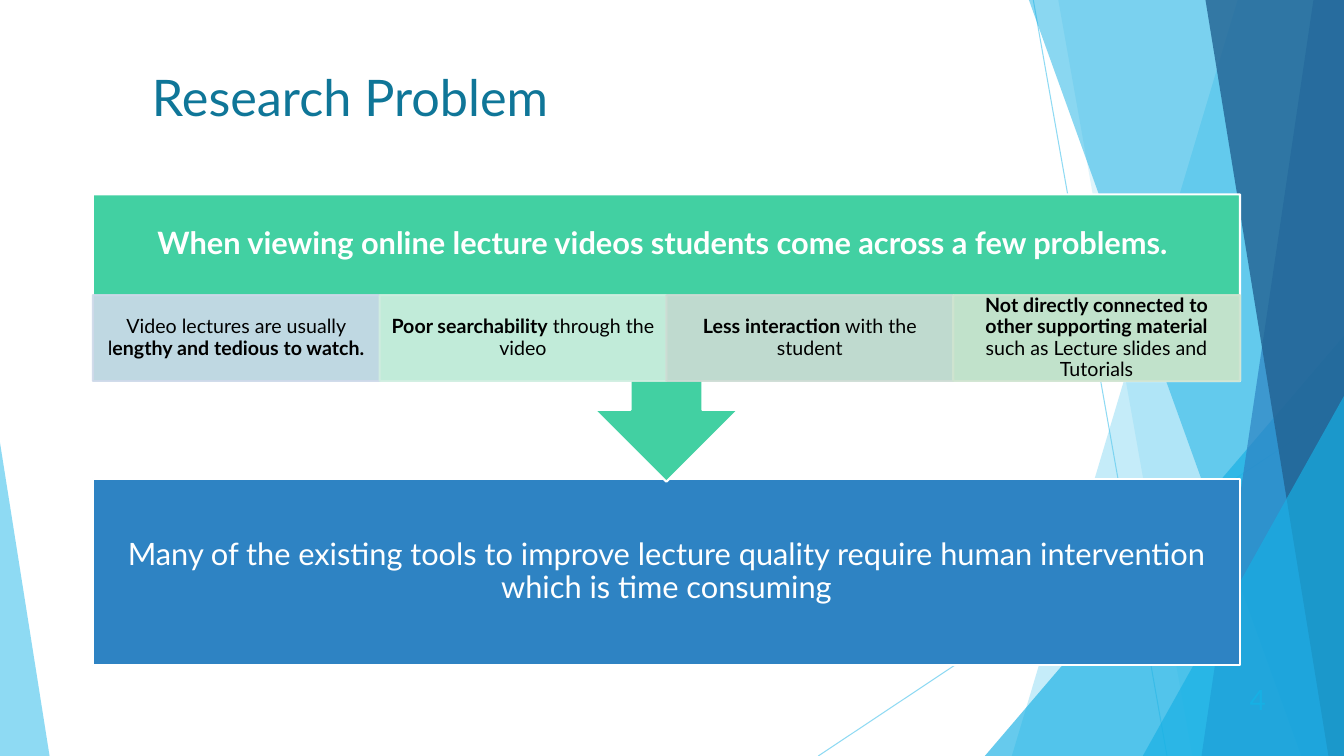
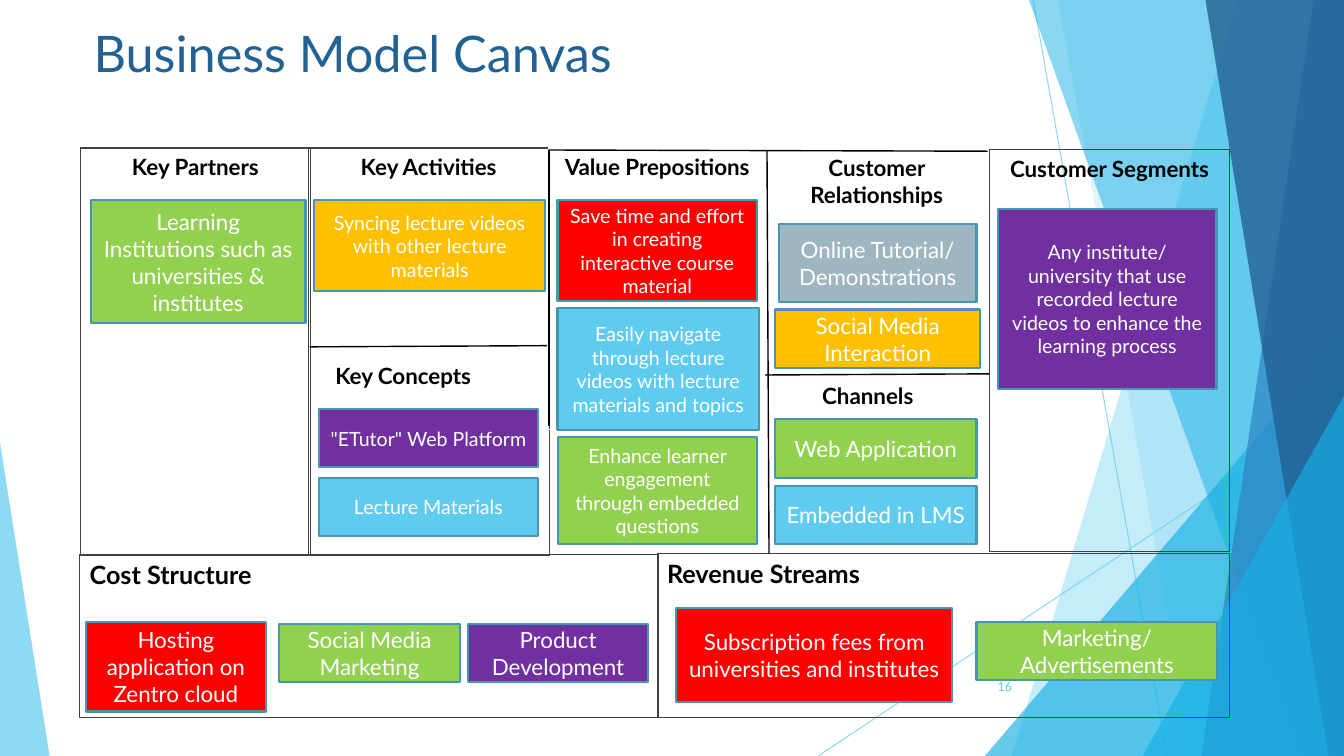
"""Build a research problem slide and a business model canvas slide."""
import dataclasses

import pptx
import pptx.dml.color
import pptx.enum.shapes
import pptx.enum.text
import pptx.oxml.ns
import pptx.util
from lxml import etree

Cm = pptx.util.Cm
Pt = pptx.util.Pt
SHAPE = pptx.enum.shapes.MSO_SHAPE
ALIGN = pptx.enum.text.PP_ALIGN
ANCHOR = pptx.enum.text.MSO_ANCHOR


@dataclasses.dataclass(frozen=True)
class Theme:
    """Colours, font, type sizes and line widths shared by the slides."""
    font: str = "Lato"
    black: str = "000000"
    white: str = "FFFFFF"
    frame: str = "404040"
    sky: str = "5FCBEF"
    cyan: str = "17B0E4"
    blue: str = "2E83C3"
    navy: str = "226292"
    teal: str = "0F7698"
    mint: str = "42D0A2"
    edge: str = "4696B1"
    green: str = "92D050"
    amber: str = "FFC000"
    purple: str = "7030A0"
    red: str = "FF0000"
    slate: str = "9FB6C0"
    title: int = 36
    statement: int = 22
    large: int = 18
    normal: int = 16
    small: int = 14
    page_number: int = 20
    footer: int = 9
    thin: float = 0.75
    rule: float = 1
    thick: float = 1.5


THEME = Theme()
WIDTH, HEIGHT = 33.87, 19.05

BACKDROP = [
    ("line", (26.04, 0, 29.41, HEIGHT), THEME.sky, 70),
    ("line", (WIDTH, 10.24, 20.62, HEIGHT), THEME.sky, 70),
    ("wedge", (31.19, 25.5), THEME.sky, 36),
    ("wedge", (26.67, 30.05), THEME.sky, 20),
    ("triangle", (24.82, 8.46, 9.05, 10.59, 1), THEME.cyan, 66),
    ("wedge", (25.93, 32.79), THEME.cyan, 50),
    ("wedge", (33.1, 30.28), THEME.blue, 70),
    ("wedge", (30.38, 33.48), THEME.navy, 80),
    ("triangle", (28.8, 9.98, 5.07, 9.07, 1), THEME.cyan, 66),
    ("triangle", (0, 11.15, 1.25, 7.9, 0), THEME.sky, 70),
]

PROBLEM = {
    "title": "Research Problem",
    "heading": "When viewing online lecture videos students come across a few problems. ",
    "conclusion": "Many of the existing tools to improve lecture quality require human "
                  "intervention which is time consuming",
    "issues": [
        ("CDD9E9", [("Video lectures are usually l", False),
                    ("engthy and tedious to watch.", True)]),
        ("CFEEE0", [("Poor searchability", True), (" through the video", False)]),
        ("CDDCD4", [("Less interaction", True), (" with the student", False)]),
        ("CFE4D0", [("Not directly connected to other supporting material ", True),
                    ("such as Lecture slides and Tutorials", False)]),
    ],
}

CANVAS_TITLE = "Business Model Canvas"
PANELS = [
    ("Key Partners", (2.03, 3.73, 5.79, 10.26), THEME.frame, THEME.normal, ALIGN.CENTER),
    ("Cost Structure", (2.01, 13.97, 14.58, 4.11), THEME.frame, THEME.large, ALIGN.LEFT),
    ("Key Activities", (7.77, 3.73, 6.07, 10.26), THEME.frame, THEME.normal, ALIGN.CENTER),
    ("Value Prepositions", (13.82, 3.73, 5.49, 7.09), THEME.white, THEME.normal, ALIGN.CENTER),
    ("Customer Relationships", (19.3, 3.76, 5.59, 5.6), None, THEME.normal, ALIGN.CENTER),
    ("Customer Segments", (24.94, 3.78, 6.05, 10.11), THEME.frame, THEME.normal, ALIGN.CENTER),
    ("Revenue Streams", (16.56, 13.94, 14.43, 4.14), THEME.frame, THEME.large, ALIGN.LEFT),
    ("Channels", (18.06, 9.5, 7.62, 0.94), None, THEME.normal, ALIGN.CENTER),
    ("Key Concepts", (8.2, 8.99, 7.62, 0.94), None, THEME.normal, ALIGN.LEFT),
]
DIVIDERS = [
    (7.8, 8.74, 13.79, 8.71),
    (19.28, 9.45, 24.92, 9.42),
    (13.82, 3.78, 24.89, 3.81),
    (19.33, 3.78, 19.38, 13.94),
    (13.84, 3.78, 13.84, 10.74),
]
CARDS = {
    THEME.small: [
        ("Syncing lecture videos with other lecture materials", THEME.amber,
         (7.92, 5.05, 5.82, 2.29)),
        ('"ETutor" Web Platform', THEME.purple, (8.03, 10.31, 5.54, 1.47)),
        ("Lecture Materials", THEME.sky, (8.03, 12.04, 5.54, 1.47)),
        ("Save time and effort in creating interactive course material", THEME.red,
         (14.05, 5.05, 5.03, 2.54)),
        ("Easily navigate through lecture videos with lecture materials and topics",
         THEME.sky, (14.05, 7.77, 5.08, 3.07)),
        ("Enhance learner engagement through embedded questions", THEME.green,
         (14.07, 11.02, 5, 2.69)),
        ("Any institute/ university that use recorded lecture videos to enhance "
         "the learning process", THEME.purple, (25.15, 5.26, 5.51, 4.55)),
    ],
    THEME.normal: [
        ("Learning Institutions such as universities & institutes", THEME.green,
         (2.29, 5.05, 5.41, 3.1)),
        ("Online Tutorial/ Demonstrations", THEME.slate, (19.63, 5.64, 4.98, 1.98)),
        ("Social Media Interaction", THEME.amber, (19.53, 7.8, 5.18, 1.47)),
        ("Web Application", THEME.green, (19.53, 10.57, 5.08, 1.47)),
        ("Embedded in LMS", THEME.sky, (19.53, 12.24, 5.08, 1.47)),
        ("Hosting application on Zentro cloud", THEME.red, (2.16, 15.67, 4.55, 2.26)),
        ("Social Media Marketing", THEME.green, (7.04, 15.72, 4.55, 1.47)),
        ("Product Development", THEME.purple, (11.79, 15.72, 4.55, 1.47)),
        ("Subscription fees from universities and institutes", THEME.red,
         (17.04, 15.32, 6.96, 2.36)),
        ("Marketing/ Advertisements", THEME.green, (24.61, 15.67, 6.07, 1.47)),
    ],
}


def rgb(colour):
    """Turn a hex string into a colour value."""
    return pptx.dml.color.RGBColor.from_string(colour)


def assign(target, values):
    """Set each named attribute on the target."""
    for name, value in values.items():
        setattr(target, name, value)


def lengths(values):
    """Convert centimetres to slide lengths."""
    return [Cm(value) for value in values]


def paint(shape, fill=None, line=None, width=THEME.thick):
    """Give a shape its fill and outline, without a shadow."""
    shape.shadow.inherit = False
    for paintwork, colour in ((shape.fill, fill), (shape.line.fill, line)):
        if colour:
            paintwork.solid()
            paintwork.fore_color.rgb = rgb(colour)
        else:
            paintwork.background()
    if line:
        shape.line.width = Pt(width)


def fade(shape, opacity):
    """Make the fill and line colours of a shape partly transparent."""
    for colour in shape.element.spPr.iter(pptx.oxml.ns.qn("a:srgbClr")):
        etree.SubElement(colour, pptx.oxml.ns.qn("a:alpha"), val=str(opacity * 1000))


def write(shape, runs, size, colour, align=ALIGN.CENTER, anchor=ANCHOR.MIDDLE,
          spacing=1.0, margins=(0.25, 0.13, 0.25, 0.13)):
    """Fill a shape with one paragraph made of (text, bold) runs."""
    frame = shape.text_frame
    sides = ("margin_left", "margin_top", "margin_right", "margin_bottom")
    assign(frame, {"word_wrap": True, "vertical_anchor": anchor,
                   "auto_size": pptx.enum.text.MSO_AUTO_SIZE.NONE,
                   **dict(zip(sides, lengths(margins)))})
    para = frame.paragraphs[0]
    assign(para, {"alignment": align, "line_spacing": spacing})
    for text, bold in runs:
        span = para.add_run()
        span.text = text
        assign(span.font, {"name": THEME.font, "size": Pt(size), "bold": bold})
        span.font.color.rgb = rgb(colour)


def add_box(page, box, fill=None, line=None, width=THEME.thick, kind=SHAPE.RECTANGLE):
    """Add a painted preset shape."""
    shape = page.shapes.add_shape(kind, *lengths(box))
    paint(shape, fill, line, width)
    return shape


def add_line(shapes, ends, colour, width):
    """Add a straight line without a shadow."""
    line = shapes.add_connector(pptx.enum.shapes.MSO_CONNECTOR.STRAIGHT, *lengths(ends))
    line.line.color.rgb = rgb(colour)
    line.line.width = Pt(width)
    etree.SubElement(line.element.spPr, pptx.oxml.ns.qn("a:effectLst"))
    return line


def add_label(page, text, box, size, colour, align, anchor, bold=False):
    """Add a text box with one line of text."""
    label = page.shapes.add_textbox(*lengths(box))
    write(label, [(text, bold)], size, colour, align, anchor)


def add_backdrop(page, layout):
    """Draw the facets as one group and move it to the layout."""
    group = page.shapes.add_group_shape()
    for kind, place, colour, opacity in BACKDROP:
        if kind == "line":
            facet = add_line(group.shapes, place, colour, THEME.thin)
        elif kind == "wedge":
            top, bottom = place
            corners = [(WIDTH, 0), (WIDTH, HEIGHT), (bottom, HEIGHT)]
            builder = group.shapes.build_freeform(Cm(top), 0)
            builder.add_line_segments([lengths(corner) for corner in corners])
            facet = builder.convert_to_shape()
            paint(facet, colour)
        else:
            *box, apex = place
            facet = group.shapes.add_shape(SHAPE.ISOSCELES_TRIANGLE, *lengths(box))
            facet.adjustments[0] = apex
            paint(facet, colour)
        fade(facet, opacity)
    for number, properties in enumerate(group.element.xpath(".//p:cNvPr"), 100):
        properties.set("id", str(number))
    layout.shapes.element.append(group.element)


def set_title(page, text, box, colour, spacing=1.0):
    """Place and format the title placeholder."""
    title = page.shapes.title
    assign(title, dict(zip(("left", "top", "width", "height"), lengths(box))))
    write(title, [(text, False)], THEME.title, colour, ALIGN.LEFT, ANCHOR.TOP, spacing)


def build_problem(page):
    """Lay out the problem heading, its issues and the conclusion."""
    left, width = 2.34, 28.91
    top, row_top, row_height = 4.9, 7.44, 2.16
    inset = 0.43
    set_title(page, PROBLEM["title"], (3.58, 1.7, 28.32, 3.05), THEME.teal, 0.9)

    conclusion = add_box(page, (left, 12.07, width, 4.7), THEME.blue, THEME.white)
    write(conclusion, [(PROBLEM["conclusion"], False)], THEME.statement, THEME.white,
          spacing=0.9, margins=(inset,) * 4)
    heading = add_box(page, (left, top, width, 7.24), THEME.mint, THEME.white,
                      kind=SHAPE.DOWN_ARROW_CALLOUT)
    write(heading, [(PROBLEM["heading"], True)], THEME.statement, THEME.white,
          spacing=0.9, margins=(inset, inset, inset, inset + row_height))

    cell_width = width / len(PROBLEM["issues"])
    for column, (colour, runs) in enumerate(PROBLEM["issues"]):
        box = (left + column * cell_width, row_top, cell_width, row_height)
        cell = add_box(page, box, colour, colour)
        fade(cell, 90)
        write(cell, runs, THEME.small, THEME.black, spacing=0.9,
              margins=(0.28, 0.05, 0.28, 0.05))
    add_label(page, "4", (30.25, 17.1, 1.9, 1.02), THEME.page_number, THEME.cyan,
              ALIGN.RIGHT, ANCHOR.MIDDLE)


def build_canvas(page):
    """Lay out the canvas panels, dividers and cards."""
    set_title(page, CANVAS_TITLE, (2.11, 0.43, 23.88, 3.66), THEME.navy)
    add_label(page, "16", (23.85, 16.79, 1.91, 1.02), THEME.footer, THEME.sky,
              ALIGN.RIGHT, ANCHOR.MIDDLE)
    for text, box, line, size, align in PANELS:
        if line:
            panel = add_box(page, box, line=line, width=THEME.thin)
            write(panel, [(text, True)], size, THEME.black, align, ANCHOR.TOP)
        else:
            add_label(page, text, box, size, THEME.black, align, ANCHOR.TOP, True)
    for ends in DIVIDERS:
        add_line(page.shapes, ends, THEME.black, THEME.rule)
    for size, cards in CARDS.items():
        for text, colour, box in cards:
            card = add_box(page, box, colour, THEME.edge)
            write(card, [(text, False)], size, THEME.white)


def main():
    """Build and save the deck."""
    deck = pptx.Presentation()
    assign(deck, {"slide_width": Cm(WIDTH), "slide_height": Cm(HEIGHT)})
    layout = deck.slide_layouts[5]
    pages = [deck.slides.add_slide(layout) for _ in range(2)]
    add_backdrop(pages[0], layout)
    build_problem(pages[0])
    build_canvas(pages[1])
    deck.save("out.pptx")


if __name__ == "__main__":
    main()
